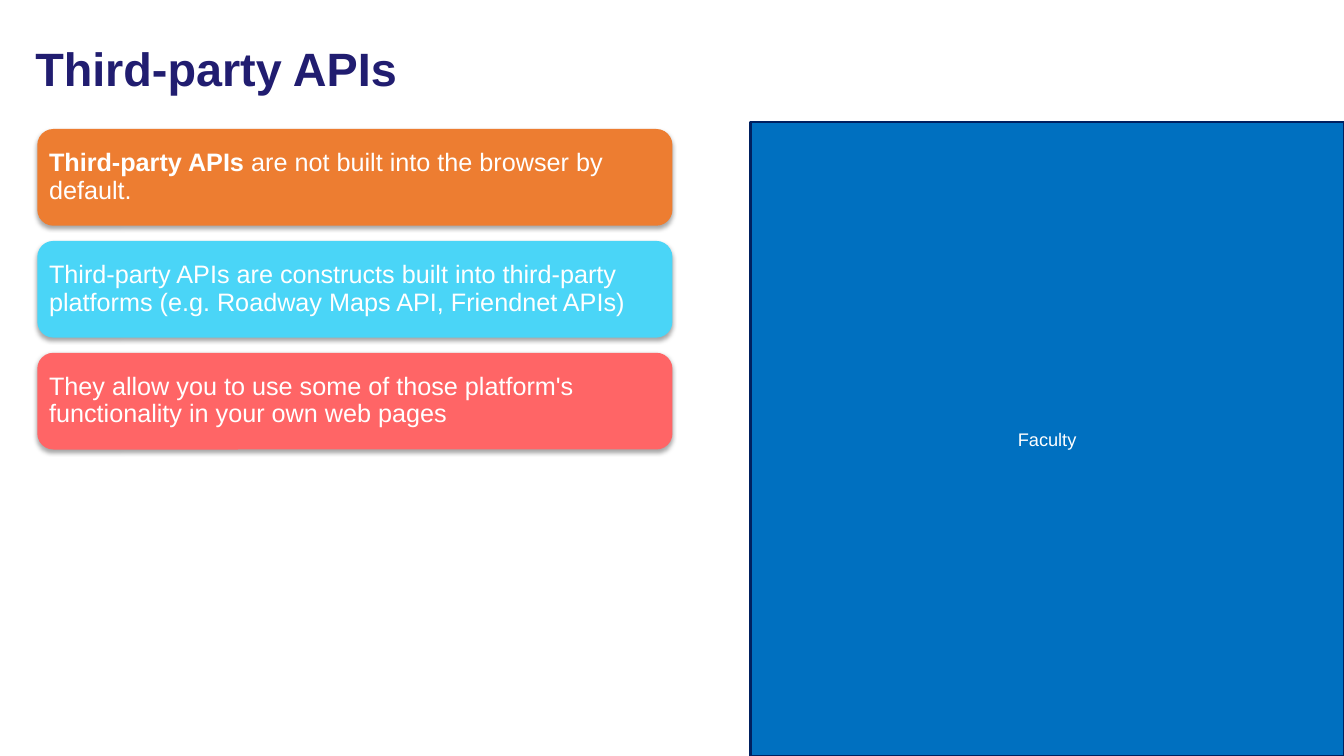
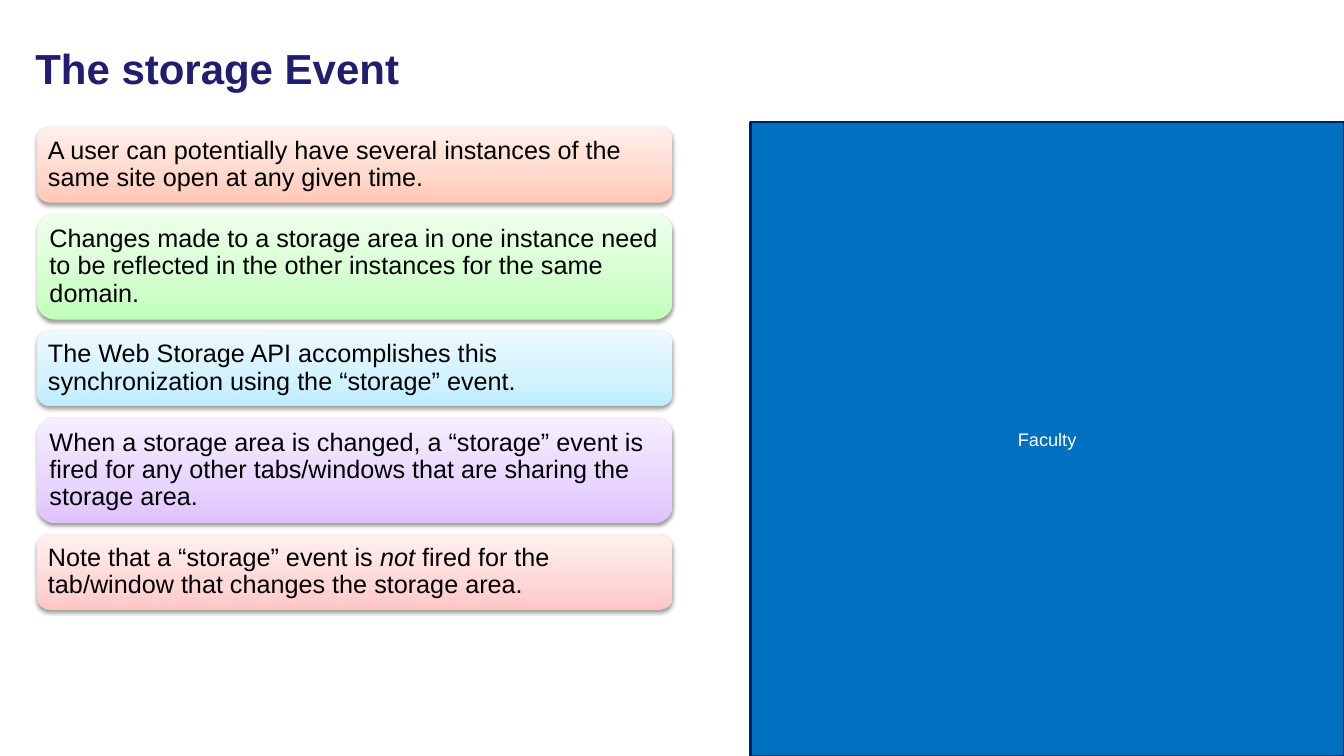
from copy import deepcopy

from pptx import Presentation
from pptx.dml.color import RGBColor
from pptx.enum.shapes import MSO_SHAPE as Shape
from pptx.enum.text import MSO_ANCHOR as Anchor, PP_ALIGN as Align
from pptx.oxml import parse_xml
from pptx.oxml.ns import nsdecls, qn
from pptx.util import Inches, Pt

FONT = "Arial"
COLORS = {
    "title": "211D70", "panel": "0070C0", "panel_edge": "002060",
    "white": "FFFFFF", "black": "000000",
}
WIDTH, HEIGHT = 13.33, 7.5
TITLE_BOX = (0.25, 0.25, 11.81, 0.91)
PANEL_LEFT, PANEL_TOP = 7.44, 1.21
CARD_LEFT, CARD_WIDTH = 0.37, 6.3
STOPS = (0, 0.35, 1)

SLIDES = [
    {
        "title": "Third-party APIs", "title_size": 33.4, "ink": "white",
        "top": 1.28, "gap": 0.15, "shadow": (35, 1.8),
        "cards": [
            (0.96, ["ED7D31"], [("Third-party APIs", "bold"),
                                (" are not built into the browser by default.", None)]),
            (0.96, ["4AD5F7"], [("Third-party APIs are constructs built into third-party platforms "
                                 "(e.g. Roadway Maps API, Friendnet APIs)", None)]),
            (0.96, ["FF6566"], [("They allow you to use some of those platform's functionality "
                                 "in your own web pages", None)]),
        ],
    },
    {
        "title": "The storage Event", "title_size": 30, "ink": "black",
        "top": 1.26, "gap": 0.11, "shadow": (38, 1.6),
        "cards": [
            (0.75, ["FFC7B6", "FFD7CB", "FFF0EB"],
             [("A user can potentially have several instances of the same site open "
               "at any given time.", None)]),
            (1.05, ["C0FFBA", "D3FFCE", "EEFFEC"],
             [("Changes made to a storage area in one instance need to be reflected "
               "in the other instances for the same domain.", None)]),
            (0.75, ["BEEDFF", "D1F2FF", "EEFAFF"],
             [("The Web Storage API accomplishes this synchronization using "
               "the “storage” event.", None)]),
            (1.05, ["E0C2FF", "E8D4FF", "F6EFFF"],
             [("When a storage area is changed, a “storage” event is fired for any other "
               "tabs/windows that are sharing the storage area.", None)]),
            (0.75, ["FFC6C6", "FFD7D7", "FFF0F0"],
             [("Note that a “storage” event is ", None), ("not", "italic"),
              (" fired for the tab/window that changes the storage area.", None)]),
        ],
    },
]


def rgb(value):
    return RGBColor.from_string(COLORS.get(value, value))


def write(shape, runs, size, color, align=Align.LEFT, bold=False, margins=(0.1, 0.05), spacing=0.9):
    frame = shape.text_frame
    frame.word_wrap = True
    frame.vertical_anchor = Anchor.MIDDLE
    frame.margin_left = frame.margin_right = Inches(margins[0])
    frame.margin_top = frame.margin_bottom = Inches(margins[1])
    paragraph = frame.paragraphs[0]
    paragraph.alignment = align
    paragraph.line_spacing = spacing
    for text, style in runs:
        run = paragraph.add_run()
        run.text = text
        font = run.font
        font.name, font.size = FONT, Pt(size)
        font.color.rgb = rgb(color)
        font.bold = bold or style == "bold"
        font.italic = style == "italic"


def add_block(slide, preset, box, colors):
    block = slide.shapes.add_shape(preset, *map(Inches, box))
    block.shadow.inherit = False
    block.line.fill.background()
    if len(colors) == 1:
        block.fill.solid()
        block.fill.fore_color.rgb = rgb(colors[0])
    else:
        block.fill.gradient()
        block.fill.gradient_angle = 90
        stop_list = block.element.spPr.find(qn("a:gradFill")).find(qn("a:gsLst"))
        stop_list.insert(1, deepcopy(stop_list[0]))
        for stop, position, color in zip(block.fill.gradient_stops, STOPS, colors):
            stop.position = position
            stop.color.rgb = rgb(color)
    return block


def cast_shadow(block, opacity, distance):
    block.element.spPr.find(qn("a:effectLst")).append(parse_xml(
        f'<a:outerShdw {nsdecls("a")} blurRad="{Pt(3.1)}" dist="{Pt(distance)}" '
        f'dir="5400000" rotWithShape="0"><a:srgbClr val="{COLORS["black"]}">'
        f'<a:alpha val="{opacity * 1000}"/></a:srgbClr></a:outerShdw>'))


def add_panel(slide, layout):
    box = (PANEL_LEFT, PANEL_TOP, WIDTH - PANEL_LEFT, HEIGHT - PANEL_TOP)
    panel = add_block(slide, Shape.RECTANGLE, box, ["panel"])
    panel.line.color.rgb = rgb("panel_edge")
    panel.line.width = Pt(2)
    write(panel, [("Faculty", None)], 13, "white", align=Align.CENTER, spacing=1)
    layout.shapes.element.append(panel.element)


def add_cards(slide, content):
    top = content["top"]
    for height, colors, runs in content["cards"]:
        card = add_block(slide, Shape.ROUNDED_RECTANGLE,
                         (CARD_LEFT, top, CARD_WIDTH, height), colors)
        cast_shadow(card, *content["shadow"])
        write(card, runs, 18, content["ink"], margins=(0.07, 0.07))
        top += height + content["gap"]


def main():
    deck = Presentation()
    deck.slide_width, deck.slide_height = Inches(WIDTH), Inches(HEIGHT)
    layout = deck.slide_layouts[5]
    for number, content in enumerate(SLIDES):
        slide = deck.slides.add_slide(layout)
        if number == 0:
            add_panel(slide, layout)
        title = slide.shapes.title
        title.left, title.top, title.width, title.height = map(Inches, TITLE_BOX)
        write(title, [(content["title"], None)], content["title_size"], "title", bold=True)
        add_cards(slide, content)
    deck.save("out.pptx")


if __name__ == "__main__":
    main()
